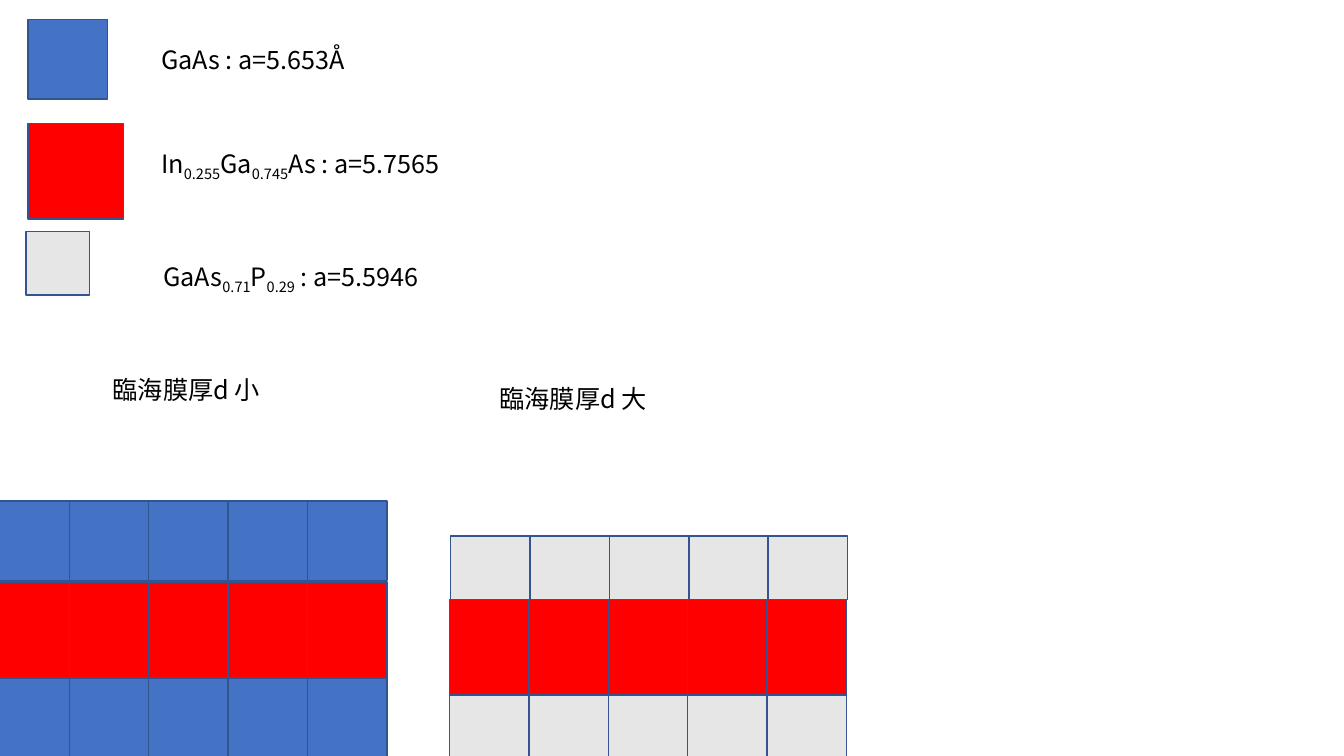
from lxml.etree import SubElement
from pptx import Presentation
from pptx.dml.color import RGBColor
from pptx.enum.shapes import MSO_SHAPE
from pptx.enum.text import MSO_AUTO_SIZE
from pptx.oxml.ns import qn
from pptx.util import Cm, Pt

COLORS = {"GaAs": "4472C4", "InGaAs": "FF0000", "GaAsP": "E7E6E6",
          "outline": "325491", "text": "000000"}
FONT = "Noto Sans CJK JP"
CELL_WIDTH = 2
CELLS_PER_LAYER = 5
LAYER_HEIGHTS = {"GaAs": 2, "InGaAs": 2.4, "GaAsP": 1.6}

LEGEND = [
    ("GaAs", 0.71, 0.5),
    ("InGaAs", 0.71, 3.12),
    ("GaAsP", 0.66, 5.84),
]
LABELS = [
    (3.81, 0.99, 5.21, 1.8, ["GaAs : a=5.653Å"]),
    (3.81, 3.61, 9.25, 1.03, ["In", "0.255", "Ga", "0.745", "As : a=5.7565"]),
    (3.86, 6.45, 8.48, 1.03, ["GaAs", "0.71", "P", "0.29", " : a=5.5946"]),
    (12.34, 9.53, 7.7, 1.03, ["臨海膜厚d 大"]),
    (2.59, 9.3, 7.7, 1.03, ["臨海膜厚d 小"]),
]
LAYERS = [
    ("GaAsP", 11.33, 17.53),
    ("InGaAs", 11.33, 15.11),
    ("GaAsP", 11.36, 13.51),
    ("GaAs", -0.25, 17.09),
    ("InGaAs", -0.25, 14.67),
    ("GaAs", -0.25, 12.63),
]


def add_cell(slide, material, left, top, width):
    """Draw one outlined lattice cell of a material."""
    cell = slide.shapes.add_shape(
        MSO_SHAPE.RECTANGLE, Cm(left), Cm(top),
        Cm(width), Cm(LAYER_HEIGHTS[material]))
    cell.shadow.inherit = False
    cell.fill.solid()
    cell.fill.fore_color.rgb = RGBColor.from_string(COLORS[material])
    cell.line.color.rgb = RGBColor.from_string(COLORS["outline"])
    cell.line.width = Pt(1)


def add_layer(slide, material, left, top):
    """Draw a row of adjoining cells."""
    for column in range(CELLS_PER_LAYER):
        add_cell(slide, material, left + column * CELL_WIDTH, top, CELL_WIDTH)


def add_label(slide, left, top, width, height, parts):
    """Write a label whose every second part is a subscript."""
    label = slide.shapes.add_textbox(Cm(left), Cm(top), Cm(width), Cm(height))
    frame = label.text_frame
    frame.word_wrap = True
    frame.auto_size = MSO_AUTO_SIZE.SHAPE_TO_FIT_TEXT
    paragraph = frame.paragraphs[0]
    font = paragraph.font
    font.size = Pt(18)
    font.name = FONT
    font.color.rgb = RGBColor.from_string(COLORS["text"])
    SubElement(font._element, qn("a:ea"), typeface=FONT)
    for index, part in enumerate(parts):
        run = paragraph.add_run()
        run.text = part
        if index % 2:
            run.font._element.set("baseline", "-25000")


def main():
    """Build the slide on lattice constants and critical thickness."""
    deck = Presentation()
    deck.slide_width, deck.slide_height = Cm(33.87), Cm(19.05)
    slide = deck.slides.add_slide(deck.slide_layouts[6])
    for material, left, top in LEGEND:
        add_cell(slide, material, left, top, LAYER_HEIGHTS[material])
    for layer in LAYERS:
        add_layer(slide, *layer)
    for label in LABELS:
        add_label(slide, *label)
    deck.save("out.pptx")


if __name__ == "__main__":
    main()
